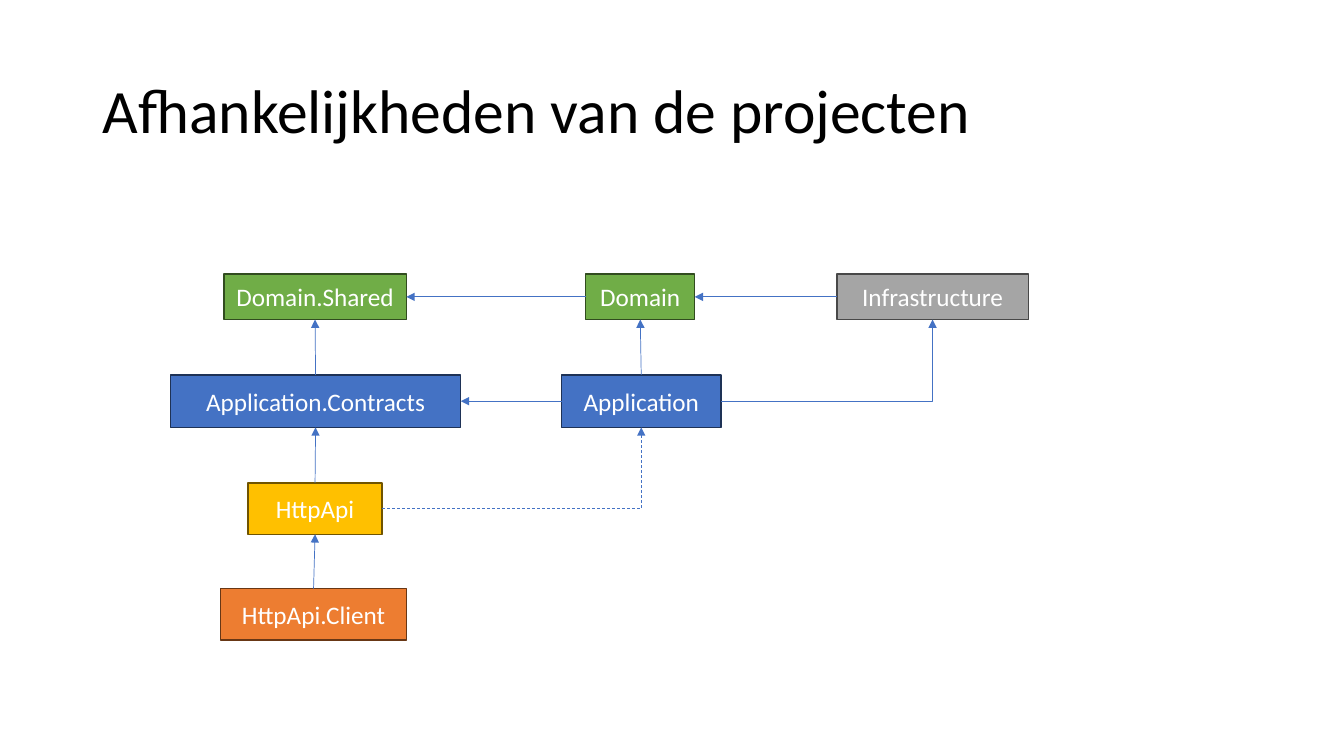
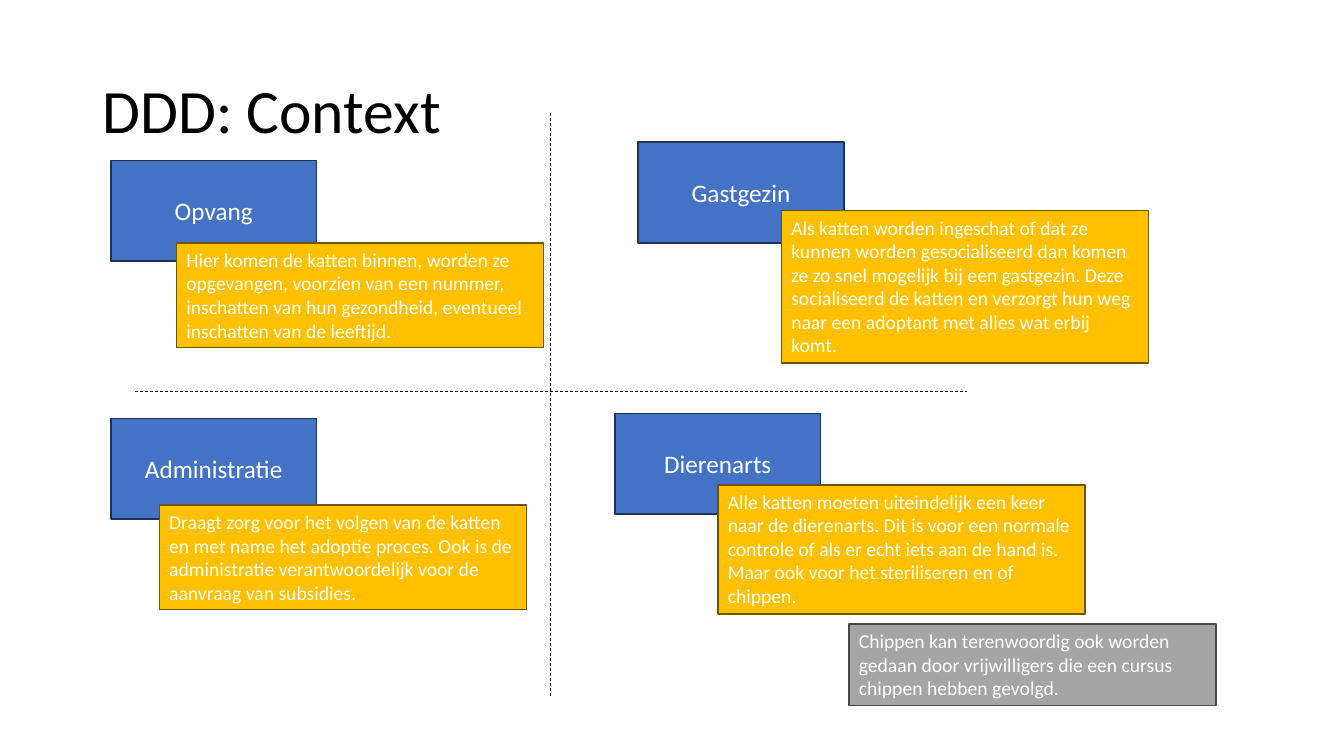
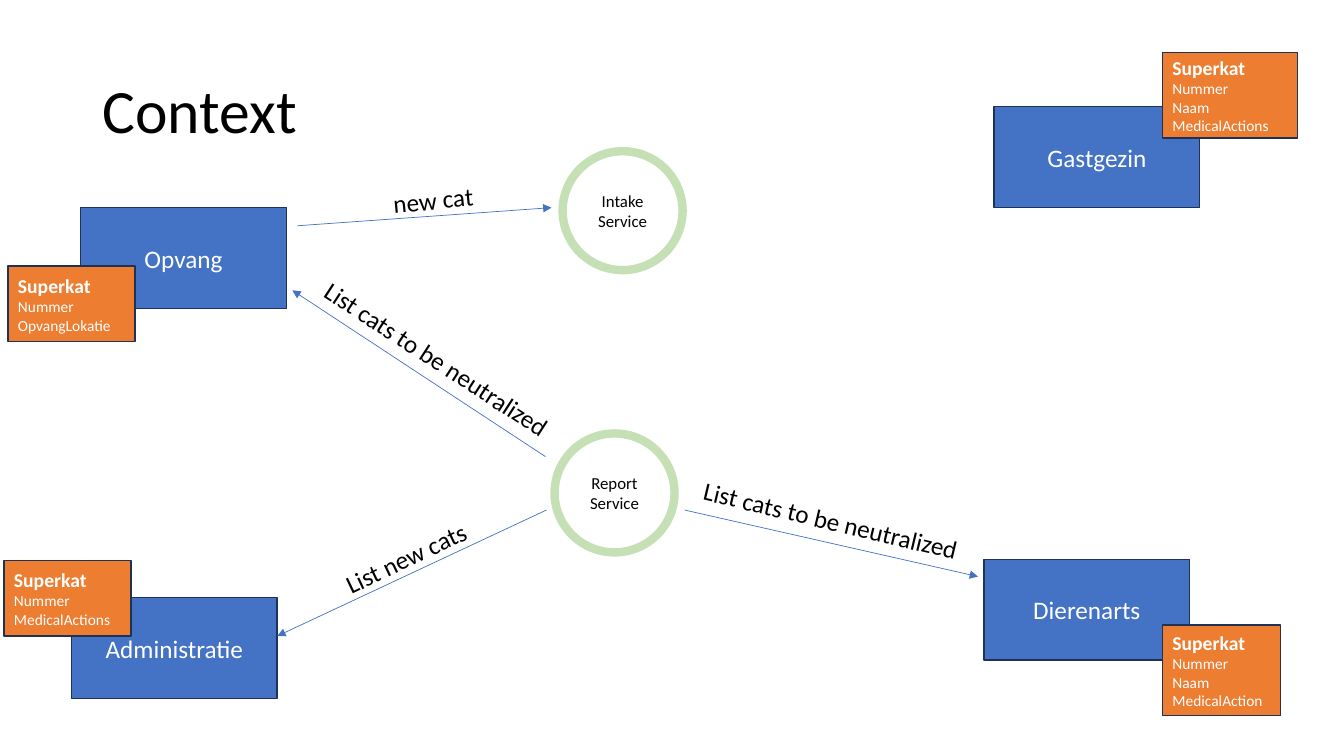
from dataclasses import dataclass
from enum import IntEnum

from lxml import etree
from pptx import Presentation
from pptx import util as u
from pptx.dml.color import RGBColor
from pptx.enum import dml, shapes, text
from pptx.oxml import ns
from pptx.shapes.autoshape import Shape
from pptx.shapes.connector import Connector
from pptx.slide import Slide
from pptx.text.text import TextFrame

FONT = "Calibri"
COLORS = {
    "black": "000000",
    "white": "FFFFFF",
    "blue": "4472C4",
    "blue edge": "1E3256",
    "green": "70AD47",
    "green edge": "314C1F",
    "gray": "A5A5A5",
    "gray edge": "484848",
    "yellow": "FFC000",
    "yellow edge": "705400",
    "orange": "ED7D31",
    "orange edge": "683715",
    "ring": "C5E0B4",
}
CONTEXT_SIZE = (2.04, 1)
NOTE_WIDTH = 3.64
RING_SIZE = (1.19, 1.18)


class Side(IntEnum):
    TOP = 0
    LEFT = 1
    BOTTOM = 2
    RIGHT = 3


@dataclass(frozen=True)
class Project:
    name: str
    left: float
    top: float
    width: float
    height: float
    color: str


@dataclass(frozen=True)
class Dependency:
    source: str
    source_side: Side
    target: str
    target_side: Side
    bent: bool = False
    dashed: bool = False


@dataclass(frozen=True)
class Context:
    name: str
    left: float
    top: float


@dataclass(frozen=True)
class Note:
    words: str
    left: float
    top: float
    height: float
    color: str = "yellow"


@dataclass(frozen=True)
class Entity:
    fields: tuple[str, ...]
    left: float
    top: float
    width: float
    height: float


@dataclass(frozen=True)
class Line:
    start: tuple[float, float]
    end: tuple[float, float]


@dataclass(frozen=True)
class Label:
    words: str
    left: float
    top: float
    width: float
    rotation: float


PROJECTS = [
    Project("Domain.Shared", 2.22, 2.72, 1.81, 0.45, "green"),
    Project("Domain", 5.81, 2.72, 1.08, 0.45, "green"),
    Project("Infrastructure", 8.3, 2.72, 1.9, 0.45, "gray"),
    Project("Application.Contracts", 1.69, 3.72, 2.88, 0.52, "blue"),
    Project("Application", 5.57, 3.72, 1.58, 0.52, "blue"),
    Project("HttpApi", 2.46, 4.79, 1.33, 0.51, "yellow"),
    Project("HttpApi.Client", 2.19, 5.84, 1.84, 0.51, "orange"),
]
DEPENDENCIES = [
    Dependency("Infrastructure", Side.LEFT, "Domain", Side.RIGHT),
    Dependency("Domain", Side.LEFT, "Domain.Shared", Side.RIGHT),
    Dependency("Application.Contracts", Side.TOP, "Domain.Shared", Side.BOTTOM),
    Dependency("Application", Side.TOP, "Domain", Side.BOTTOM),
    Dependency("Application", Side.LEFT, "Application.Contracts", Side.RIGHT),
    Dependency("HttpApi", Side.TOP, "Application.Contracts", Side.BOTTOM),
    Dependency("HttpApi", Side.RIGHT, "Application", Side.BOTTOM, bent=True, dashed=True),
    Dependency("HttpApi.Client", Side.TOP, "HttpApi", Side.BOTTOM),
    Dependency("Application", Side.RIGHT, "Infrastructure", Side.BOTTOM, bent=True),
]
QUADRANT_CONTEXTS = [
    Context("Opvang", 1.1, 1.59),
    Context("Gastgezin", 6.33, 1.41),
    Context("Dierenarts", 6.1, 4.1),
    Context("Administratie", 1.1, 4.15),
]
QUADRANT_LINES = [
    Line((5.46, 1.12), (5.46, 6.91)),
    Line((1.34, 3.88), (9.59, 3.88)),
]
NOTES = [
    Note(
        "Hier komen de katten binnen, worden ze opgevangen, voorzien van een nummer, "
        "inschatten van hun gezondheid, eventueel inschatten van de leeftijd.",
        1.75, 2.41, 1.04,
    ),
    Note(
        "Als katten worden ingeschat of dat ze kunnen worden gesocialiseerd dan komen "
        "ze zo snel mogelijk bij een gastgezin. Deze socialiseerd de katten en verzorgt "
        "hun weg naar een adoptant met alles wat erbij komt.",
        7.75, 2.09, 1.51,
    ),
    Note(
        "Draagt zorg voor het volgen van de katten en met name het adoptie proces. "
        "Ook is de administratie verantwoordelijk voor de aanvraag van subsidies.",
        1.58, 5.01, 1.04,
    ),
    Note(
        "Alle katten moeten uiteindelijk een keer naar de dierenarts. Dit is voor een "
        "normale controle of als er echt iets aan de hand is. Maar ook voor het "
        "steriliseren en of chippen.",
        7.12, 4.81, 1.28,
    ),
    Note(
        "Chippen kan terenwoordig ook worden gedaan door vrijwilligers die een cursus "
        "chippen hebben gevolgd.",
        8.42, 6.19, 0.81, "gray",
    ),
]
FLOW_CONTEXTS = [
    Context("Opvang", 0.8, 2.06),
    Context("Gastgezin", 9.86, 1.06),
    Context("Dierenarts", 9.76, 5.55),
    Context("Administratie", 0.71, 5.93),
]
ENTITIES = [
    Entity(("Nummer", "OpvangLokatie"), 0.08, 2.64, 1.26, 0.75),
    Entity(("Nummer", "Naam", "MedicalAction"), 11.53, 6.2, 1.17, 0.9),
    Entity(("Nummer", "Naam", "MedicalActions"), 11.53, 0.52, 1.34, 0.85),
    Entity(("Nummer", "MedicalActions"), 0.04, 5.56, 1.26, 0.75),
]
SERVICES = [
    Context("Intake Service", 5.58, 1.5),
    Context("Report Service", 5.5, 4.3),
]
FLOWS = [
    Line((2.95, 2.24), (5.47, 2.06)),
    Line((5.42, 5.06), (2.75, 6.31)),
    Line((5.41, 4.53), (2.9, 2.88)),
    Line((6.79, 5.06), (9.7, 5.72)),
]
FLOW_LABELS = [
    Label("new cat", 3.8, 1.78, 1.04, 354.5),
    Label("List new cats", 3.28, 5.33, 1.51, 334.5),
    Label("List cats to be neutralized", 2.93, 3.41, 2.95, 33),
    Label("List cats to be neutralized", 6.85, 4.98, 2.95, 13.4),
]


def color(name: str) -> RGBColor:
    return RGBColor.from_string(COLORS[name])


def write(
    frame: TextFrame,
    lines: list[tuple[str, float, bool]],
    ink: str = "white",
    align: text.PP_ALIGN = text.PP_ALIGN.LEFT,
    anchor: text.MSO_ANCHOR = text.MSO_ANCHOR.MIDDLE,
) -> None:
    frame.word_wrap = True
    frame.vertical_anchor = anchor
    for index, (words, size, bold) in enumerate(lines):
        para = frame.add_paragraph() if index else frame.paragraphs[0]
        para.text = words
        para.alignment = align
        para.font.name = FONT
        para.font.size = u.Pt(size)
        para.font.bold = bold
        para.font.color.rgb = color(ink)


def add_figure(
    page: Slide,
    place: tuple[float, float, float, float],
    fill: str,
    edge: str,
    weight: float = 1,
    kind: shapes.MSO_SHAPE = shapes.MSO_SHAPE.RECTANGLE,
) -> Shape:
    figure = page.shapes.add_shape(kind, *map(u.Inches, place))
    figure.shadow.inherit = False
    figure.fill.solid()
    figure.fill.fore_color.rgb = color(fill)
    figure.line.color.rgb = color(edge)
    figure.line.width = u.Pt(weight)
    return figure


def add_project(page: Slide, project: Project) -> Shape:
    place = (project.left, project.top, project.width, project.height)
    box = add_figure(page, place, project.color, f"{project.color} edge")
    write(box.text_frame, [(project.name, 18, False)], align=text.PP_ALIGN.CENTER)
    return box


def add_context(page: Slide, context: Context) -> None:
    add_project(page, Project(context.name, context.left, context.top, *CONTEXT_SIZE, "blue"))


def add_note(page: Slide, note: Note) -> None:
    place = (note.left, note.top, NOTE_WIDTH, note.height)
    box = add_figure(page, place, note.color, f"{note.color} edge")
    write(box.text_frame, [(note.words, 14, False)], anchor=text.MSO_ANCHOR.TOP)
    box.text_frame.auto_size = text.MSO_AUTO_SIZE.SHAPE_TO_FIT_TEXT


def add_entity(page: Slide, entity: Entity) -> None:
    place = (entity.left, entity.top, entity.width, entity.height)
    box = add_figure(page, place, "orange", "blue edge")
    fields = [(field, 11, False) for field in entity.fields]
    write(box.text_frame, [("Superkat", 14, True), *fields])


def add_service(page: Slide, service: Context) -> None:
    place = (service.left, service.top, *RING_SIZE)
    ring = add_figure(page, place, "white", "ring", 6, shapes.MSO_SHAPE.OVAL)
    write(ring.text_frame, [(service.name, 12, False)], "black", text.PP_ALIGN.CENTER)


def add_label(page: Slide, label: Label) -> None:
    place = (label.left, label.top, label.width, 0.4)
    box = page.shapes.add_textbox(*map(u.Inches, place))
    box.rotation = label.rotation
    write(box.text_frame, [(label.words, 18, False)], "black", anchor=text.MSO_ANCHOR.TOP)


def style_line(line: Connector, ink: str, dashed: bool, arrow: bool) -> None:
    line.line.color.rgb = color(ink)
    line.line.width = u.Pt(0.5)
    if dashed:
        line.line.dash_style = dml.MSO_LINE.DASH
    properties = line._element.spPr
    if arrow:
        outline = properties.find(ns.qn("a:ln"))
        etree.SubElement(outline, ns.qn("a:tailEnd"), type="triangle")
    etree.SubElement(properties, ns.qn("a:effectLst"))


def add_line(page: Slide, line: Line, ink: str, dashed: bool, arrow: bool) -> None:
    ends = map(u.Inches, (*line.start, *line.end))
    connector = page.shapes.add_connector(shapes.MSO_CONNECTOR.STRAIGHT, *ends)
    style_line(connector, ink, dashed, arrow)


def side_point(box: Shape, side: Side) -> tuple[int, int]:
    middle = box.left + box.width // 2
    center = box.top + box.height // 2
    return {
        Side.TOP: (middle, box.top),
        Side.LEFT: (box.left, center),
        Side.BOTTOM: (middle, box.top + box.height),
        Side.RIGHT: (box.left + box.width, center),
    }[side]


def add_dependency(page: Slide, dependency: Dependency, boxes: dict[str, Shape]) -> None:
    source, target = boxes[dependency.source], boxes[dependency.target]
    kind = shapes.MSO_CONNECTOR.ELBOW if dependency.bent else shapes.MSO_CONNECTOR.STRAIGHT
    start = side_point(source, dependency.source_side)
    end = side_point(target, dependency.target_side)
    arrow = page.shapes.add_connector(kind, *start, *end)
    arrow.begin_connect(source, dependency.source_side)
    arrow.end_connect(target, dependency.target_side)
    if dependency.bent:
        arrow._element.spPr.find(ns.qn("a:prstGeom")).set("prst", "bentConnector2")
    style_line(arrow, "blue", dependency.dashed, True)


def add_page(deck: Presentation, title: str) -> Slide:
    page = deck.slides.add_slide(deck.slide_layouts[6])
    box = page.shapes.add_textbox(*map(u.Inches, (0.92, 0.4, 11.5, 1.45)))
    write(box.text_frame, [(title, 44, False)], "black")
    box.text_frame.paragraphs[0].line_spacing = 0.9
    return page


def build_dependencies(deck: Presentation) -> None:
    page = add_page(deck, "Afhankelijkheden van de projecten")
    boxes = {project.name: add_project(page, project) for project in PROJECTS}
    for dependency in DEPENDENCIES:
        add_dependency(page, dependency, boxes)


def build_quadrants(deck: Presentation) -> None:
    page = add_page(deck, "DDD: Context")
    for context in QUADRANT_CONTEXTS:
        add_context(page, context)
    for line in QUADRANT_LINES:
        add_line(page, line, "black", dashed=True, arrow=False)
    for note in NOTES:
        add_note(page, note)


def build_flows(deck: Presentation) -> None:
    page = add_page(deck, "Context")
    for context in FLOW_CONTEXTS:
        add_context(page, context)
    for entity in ENTITIES:
        add_entity(page, entity)
    for service in SERVICES:
        add_service(page, service)
    for flow in FLOWS:
        add_line(page, flow, "blue", dashed=False, arrow=True)
    for label in FLOW_LABELS:
        add_label(page, label)


def main() -> None:
    deck = Presentation()
    deck.slide_width = u.Inches(13.33)
    deck.slide_height = u.Inches(7.5)
    build_dependencies(deck)
    build_quadrants(deck)
    build_flows(deck)
    deck.save("out.pptx")


if __name__ == "__main__":
    main()
